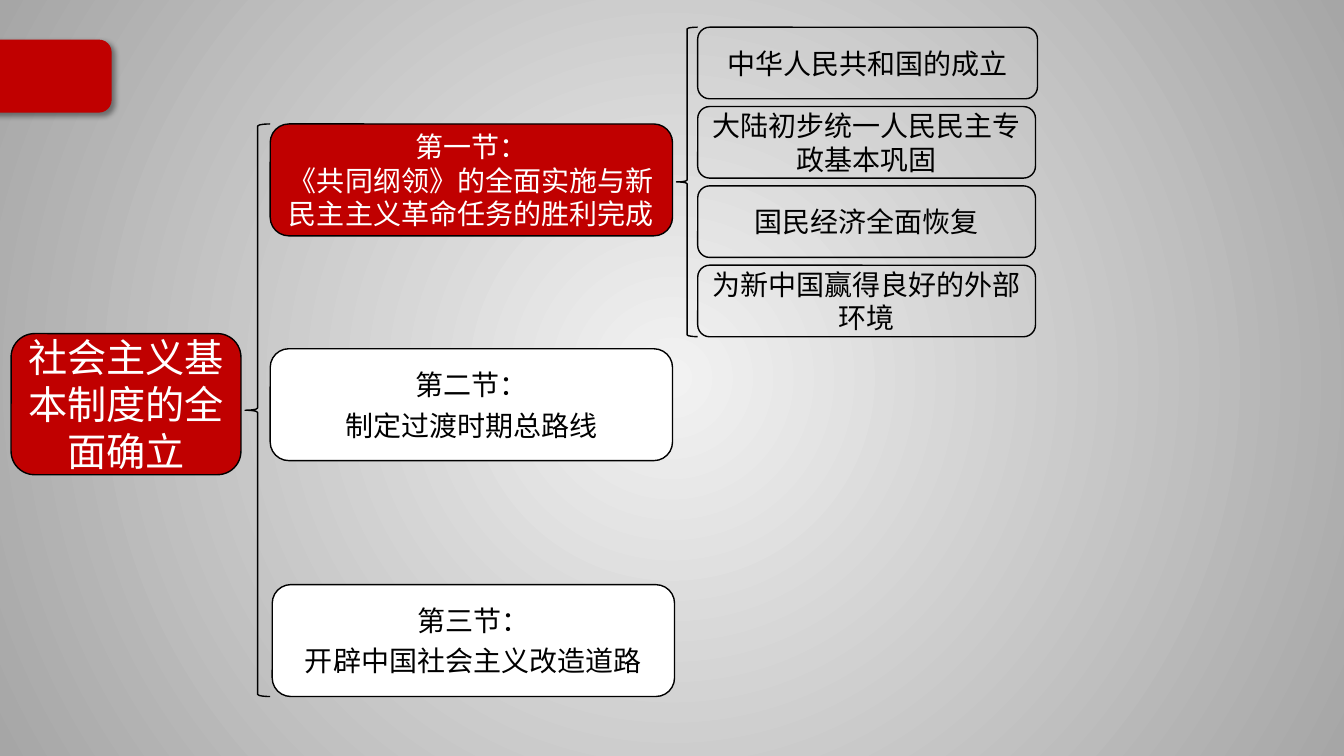
import pptx
import pptx.dml.color
import pptx.enum.shapes
import pptx.enum.text
import pptx.oxml
import pptx.oxml.ns
import pptx.util
from lxml import etree

Inches = pptx.util.Inches
Pt = pptx.util.Pt
SHAPE = pptx.enum.shapes.MSO_SHAPE
qn = pptx.oxml.ns.qn


class Outline:
    FONT = "Noto Sans CJK SC"
    COLORS = {
        "red": "C00000",
        "black": "000000",
        "white": "FFFFFF",
        "light": "F2F2F2",
        "gray": "A6A6A6",
    }

    def __init__(self, s):
        self.s = s

    def color(self, name):
        return pptx.dml.color.RGBColor.from_string(self.COLORS[name])

    def background(self, center, edge):
        self.s.background.fill.gradient()
        old = self.s.element.find(".//" + qn("a:gradFill"))
        grad = pptx.oxml.parse_xml(
            f'<a:gradFill {pptx.oxml.ns.nsdecls("a")} rotWithShape="1"><a:gsLst>'
            f'<a:gs pos="0"><a:srgbClr val="{self.COLORS[center]}"/></a:gs>'
            f'<a:gs pos="100000"><a:srgbClr val="{self.COLORS[edge]}"/></a:gs>'
            '</a:gsLst><a:path path="circle"><a:fillToRect l="50000" t="50000" '
            'r="50000" b="50000"/></a:path></a:gradFill>')
        old.getparent().replace(old, grad)

    def shape(self, kind, at, fill=None, line="black"):
        sp = self.s.shapes.add_shape(kind, *map(Inches, at))
        sp.shadow.inherit = False
        if fill:
            sp.fill.solid()
            sp.fill.fore_color.rgb = self.color(fill)
        else:
            sp.fill.background()
        sp.line.color.rgb = self.color(line)
        sp.line.width = Pt(1)
        return sp

    def tab(self, at):
        sp = self.shape(SHAPE.ROUNDED_RECTANGLE, at, "red", "red")
        effects = sp.element.spPr.find(qn("a:effectLst"))
        shadow = etree.SubElement(
            effects, qn("a:outerShdw"), blurRad=str(Pt(4)), dist=str(Pt(3)),
            dir="2700000", algn="tl", rotWithShape="0")
        clr = etree.SubElement(shadow, qn("a:srgbClr"), val=self.COLORS["black"])
        etree.SubElement(clr, qn("a:alpha"), val="40000")

    def brace(self, at):
        self.shape(SHAPE.LEFT_BRACE, at)

    def box(self, at, text, fill=None, color="black", size=20, gap=0):
        sp = self.shape(SHAPE.ROUNDED_RECTANGLE, at, fill)
        tf = sp.text_frame
        tf.word_wrap = True
        tf.vertical_anchor = pptx.enum.text.MSO_ANCHOR.MIDDLE
        tf.text = text
        for i, p in enumerate(tf.paragraphs):
            p.alignment = pptx.enum.text.PP_ALIGN.CENTER
            if i and gap:
                p.space_before = Pt(gap)
            for r in p.runs:
                r.font.size = Pt(size)
                r.font.name = self.FONT
                r.font.color.rgb = self.color(color)
                etree.SubElement(r.font._element, qn("a:ea"), typeface=self.FONT)


def main():
    prs = pptx.Presentation()
    prs.slide_width = Inches(13.33)
    prs.slide_height = Inches(7.5)
    outline = Outline(prs.slides.add_slide(prs.slide_layouts[6]))
    outline.background("light", "gray")
    outline.tab((-0.18, 0.4, 1.28, 0.71))

    outline.box((0.11, 3.31, 2.28, 1.4), "社会主义基本制度的全面确立",
                "red", "white", size=28)
    outline.brace((2.43, 1.23, 0.25, 5.68))

    sections = [
        (2.68, 1.23, "第一节：\n《共同纲领》的全面实施与新民主主义革命任务的胜利完成",
         "red", "white", 0),
        (2.68, 3.46, "第二节：\n制定过渡时期总路线", "white", "black", 4.8),
        (2.7, 5.8, "第三节：\n开辟中国社会主义改造道路", "white", "black", 4.8),
    ]
    for x, y, text, fill, color, gap in sections:
        outline.box((x, y, 3.99, 1.11), text, fill, color, gap=gap)

    outline.brace((6.71, 0.27, 0.21, 3.07))
    topics = [
        ("中华人民共和国的成立", 3.37),
        ("大陆初步统一人民民主专政基本巩固", 3.35),
        ("国民经济全面恢复", 3.35),
        ("为新中国赢得良好的外部环境", 3.35),
    ]
    for i, (text, width) in enumerate(topics):
        outline.box((6.92, 0.27 + i * 0.787, width, 0.71), text)

    prs.save("out.pptx")


if __name__ == "__main__":
    main()
